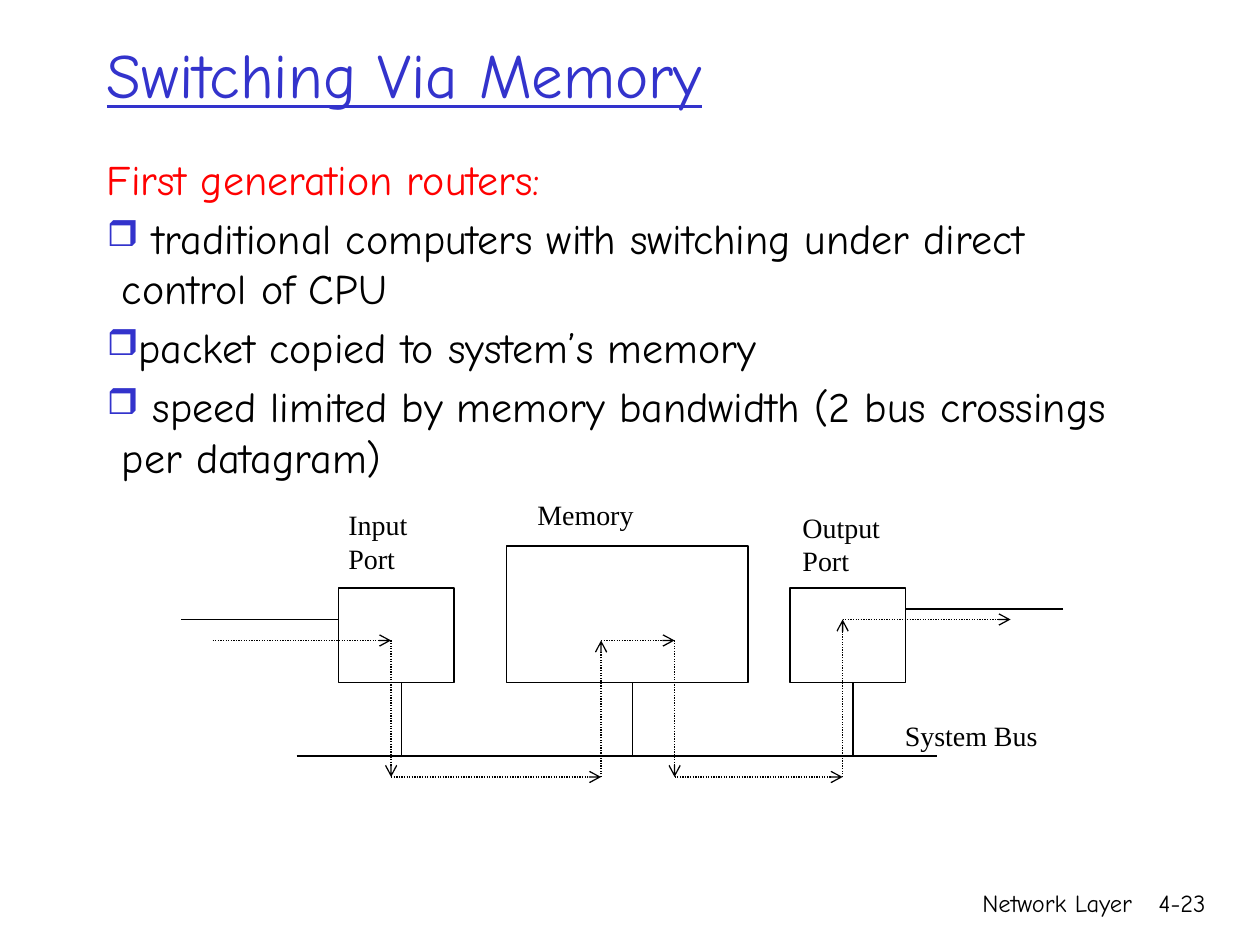
from itertools import pairwise

from lxml import etree
from pptx import Presentation
from pptx.dml.color import RGBColor
from pptx.enum.dml import MSO_LINE
from pptx.enum.shapes import MSO_CONNECTOR, MSO_SHAPE
from pptx.enum.text import MSO_ANCHOR, PP_ALIGN
from pptx.oxml.ns import qn
from pptx.util import Inches, Pt

BLACK = RGBColor(0x00, 0x00, 0x00)
BLUE = RGBColor(0x33, 0x33, 0xCC)
RED = RGBColor(0xFF, 0x00, 0x00)
STRAIGHT = MSO_CONNECTOR.STRAIGHT
RECTANGLE = MSO_SHAPE.RECTANGLE
DOTTED = MSO_LINE.ROUND_DOT
LEFT, RIGHT = PP_ALIGN.LEFT, PP_ALIGN.RIGHT
TOP, MIDDLE = MSO_ANCHOR.TOP, MSO_ANCHOR.MIDDLE

HAND, SERIF = "Comic Neue", "Times New Roman"
CELL = Inches(1) / 12      # the whole slide is 120 columns by 90 rows
DIAGRAM_SHIFT = 0.25       # the diagram sits a quarter column to the right
BUS_ROW, BOX_BOTTOM, COPY_ROW, MEMORY_ROW = 72, 65, 74, 61


def grid(*cells):
    return [round(cell * CELL) for cell in cells]


def add_text(slide, place, lines, size, font, color=BLACK, align=LEFT,
             anchor=TOP, wrap=True):
    frame = slide.shapes.add_textbox(*grid(*place)).text_frame
    frame.word_wrap = wrap
    frame.vertical_anchor = anchor
    frame.text = "\n".join(lines)
    for line in frame.paragraphs:
        line.alignment = align
        line.font.size = Pt(size)
        line.font.name = font
        line.font.color.rgb = color
    return frame


def add_bullet(paragraph):
    props = paragraph._p.get_or_add_pPr()
    color = etree.Element(qn("a:buClr"))
    etree.SubElement(color, qn("a:srgbClr"), val=str(BLUE))
    size = etree.Element(qn("a:buSzPct"), val="85000")
    mark = etree.Element(qn("a:buChar"), char="❒")
    for position, element in enumerate((color, size, mark)):
        props.insert(position, element)


def add_points(slide, place, heading, points):
    frame = add_text(slide, place, [heading], 24, HAND, RED)
    for point in points:
        paragraph = frame.add_paragraph()
        paragraph.text = point
        add_bullet(paragraph)
        paragraph.space_before = Pt(5)
        paragraph.font.size = Pt(24)
        paragraph.font.name = HAND
        paragraph.font.color.rgb = BLACK
    for paragraph in frame.paragraphs:
        props = paragraph._p.get_or_add_pPr()
        props.set("marL", str(Inches(0.12)))
        props.set("indent", str(-Inches(0.12)))


def add_box(slide, column, row, width, height):
    box = slide.shapes.add_shape(
        RECTANGLE, *grid(column + DIAGRAM_SHIFT, row, width, height))
    box.shadow.inherit = False
    box.fill.background()
    box.line.color.rgb = BLACK
    box.line.width = Pt(0.75)


def add_line(slide, start, end):
    (x1, y1), (x2, y2) = start, end
    line = slide.shapes.add_connector(
        STRAIGHT, *grid(x1 + DIAGRAM_SHIFT, y1, x2 + DIAGRAM_SHIFT, y2))
    line.line.color.rgb = BLACK
    line.line.width = Pt(0.75)
    etree.SubElement(line._element.spPr, qn("a:effectLst"))
    return line


def add_step(slide, start, end):
    step = add_line(slide, start, end)
    step.line.dash_style = DOTTED
    etree.SubElement(step.line._get_or_add_ln(), qn("a:tailEnd"), type="arrow")


def add_label(slide, column, row, width, *lines):
    add_text(slide, (column + DIAGRAM_SHIFT, row, width, 3.8 * len(lines)),
             lines, 16, SERIF, wrap=False)


def add_diagram(slide):
    # Input port, output port and memory
    for box in ((32, 56, 11, 9), (75, 56, 11, 9), (48, 52, 23, 13)):
        add_box(slide, *box)

    # System bus, its taps and the outside links
    add_line(slide, (28, BUS_ROW), (89, BUS_ROW))
    for tap in (38, 60, 81):
        add_line(slide, (tap, BOX_BOTTOM), (tap, BUS_ROW))
    add_line(slide, (32, 59), (17, 59))
    add_line(slide, (101, 58), (86, 58))

    # Route of a packet: two crossings of the bus
    route = [(20, MEMORY_ROW), (37, MEMORY_ROW), (37, COPY_ROW),
             (57, COPY_ROW), (57, MEMORY_ROW), (64, MEMORY_ROW),
             (64, COPY_ROW), (80, COPY_ROW), (80, 59), (96, 59)]
    for start, end in pairwise(route):
        add_step(slide, start, end)

    # Labels
    add_label(slide, 31.75, 47.75, 8, "Input", "Port")
    add_label(slide, 75, 48, 9.8, "Output", "Port")
    add_label(slide, 49.75, 46.8, 11.6, "Memory")
    add_label(slide, 84.75, 67.8, 15.1, "System Bus")


def main():
    deck = Presentation()
    deck.slide_width, deck.slide_height = grid(120, 90)
    slide = deck.slides.add_slide(deck.slide_layouts[6])

    # Footer
    add_text(slide, (71, 84, 38, 6), ["Network Layer"], 14, HAND, align=RIGHT)
    add_text(slide, (107.2, 84, 8.8, 6), ["4-23"], 14, HAND, align=RIGHT)

    # Title and points
    title = add_text(slide, (9, 3, 102, 8), ["Switching Via Memory"], 36, HAND,
                     BLUE, anchor=MIDDLE)
    title.paragraphs[0].font.underline = True
    add_points(slide, (9, 14, 103, 14), "First generation routers:", [
        " traditional computers with switching under direct control of CPU",
        "packet copied to system’s memory",
        " speed limited by memory bandwidth (2 bus crossings per datagram)",
    ])

    add_diagram(slide)
    deck.save("out.pptx")


if __name__ == "__main__":
    main()
